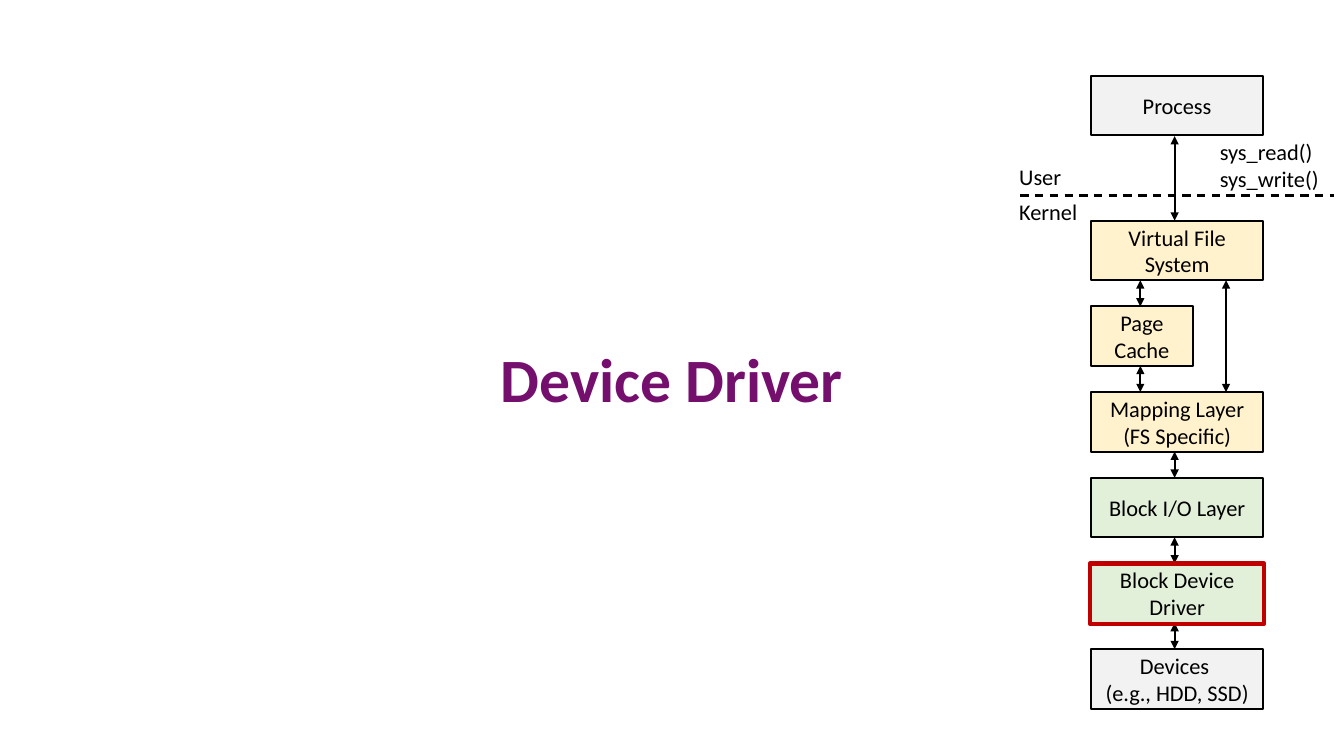
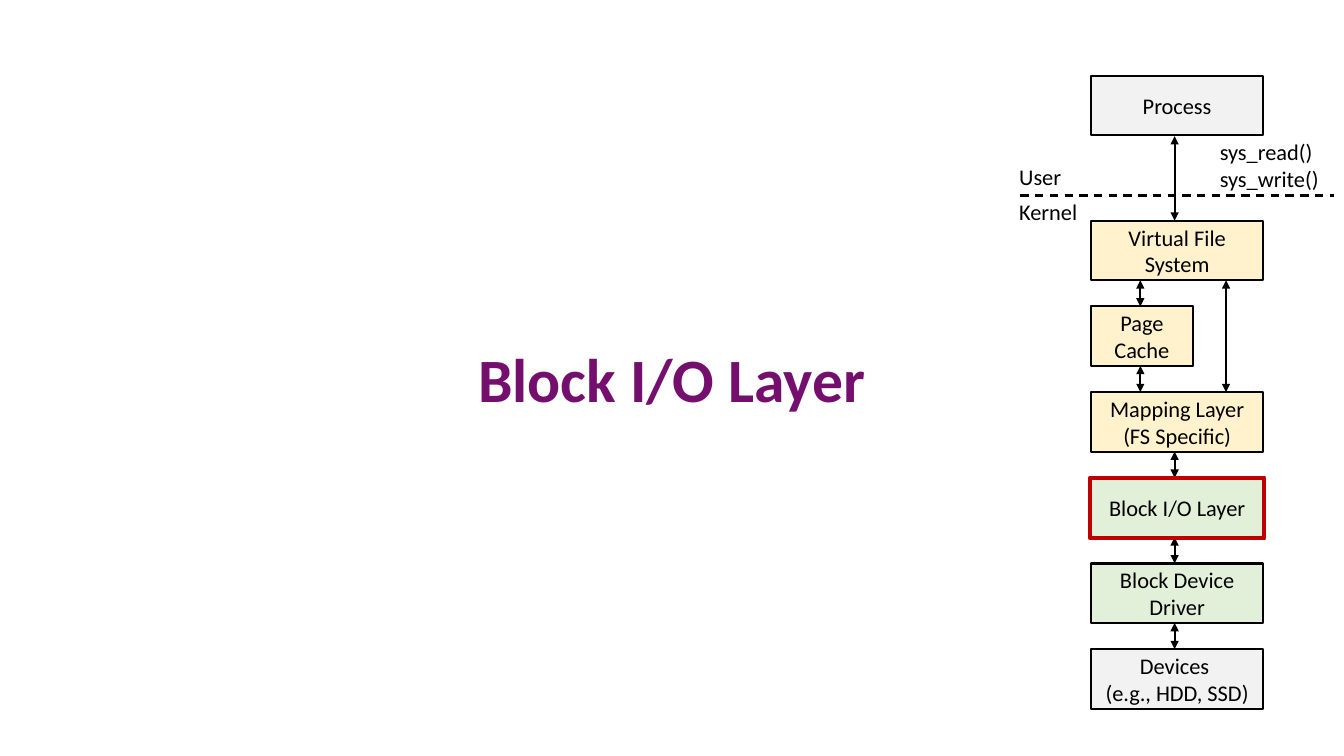
from lxml.etree import SubElement
from pptx import Presentation
from pptx.dml.color import RGBColor
from pptx.enum.dml import MSO_LINE
from pptx.enum.shapes import MSO_CONNECTOR, MSO_SHAPE
from pptx.enum.text import MSO_ANCHOR, MSO_AUTO_SIZE, PP_ALIGN
from pptx.oxml.ns import qn
from pptx.util import Inches, Pt

# Shared look
BLACK, PLUM, RED = "000000", "750F6D", "C00000"
GREY, CREAM, GREEN = "F2F2F2", "FFF2CC", "E2F0D9"
HEAD = {"name": "Calibri", "size": Pt(44), "bold": True}
BODY = {"name": "Calibri", "size": Pt(16), "bold": False}

# Stack geometry: equal rows below the kernel line
LEFT, WIDE, HIGH = 10.82, 1.71, 0.59
TOP, STEP = 2.19, 0.85
MID, SIDE = 11.65, 11.31
rows = [TOP + STEP * i for i in range(6)]

boxes = [
    ("Process", 0.75, WIDE, GREY),
    ("Virtual File System", rows[0], WIDE, CREAM),
    ("Page Cache", rows[1], 1.01, CREAM),
    ("Mapping Layer\v(FS Specific)", rows[2], WIDE, CREAM),
    ("Block I/O Layer", rows[3], WIDE, GREEN),
    ("Block Device Driver", rows[4], WIDE, GREEN),
    ("Devices \n(e.g., HDD, SSD)", rows[5], WIDE, GREY),
]
labels = [
    ("User", 10.01, 1.57, 0.62, 0.37),
    ("Kernel", 10.01, 1.92, 0.79, 0.37),
    ("sys_read()\nsys_write()", 12, 1.32, 1.2, 0.64),
]
# Arrows: x, top, bottom
arrows = [(MID, 1.35, TOP), (12.16, rows[0] + HIGH, rows[2])]
arrows += [(x, y + HIGH, y + STEP)
           for x, y in zip([SIDE, SIDE, MID, MID, MID], rows)]

# Slide title and the row it marks
pages = [("Device Driver", 4), ("Block I/O Layer", 3)]


def rgb(code):
    return RGBColor.from_string(code)


def write(frame, text, style, color, align):
    frame.text = text
    for para in frame.paragraphs:
        para.alignment = align
        for key, value in style.items():
            setattr(para.font, key, value)
        para.font.color.rgb = rgb(color)
        for run in para.runs:
            for key, value in style.items():
                setattr(run.font, key, value)
            run.font.color.rgb = rgb(color)


deck = Presentation()
deck.slide_width, deck.slide_height = Inches(13.33), Inches(7.5)

for name, mark in pages:
    slide = deck.slides.add_slide(deck.slide_layouts[5])
    shapes = slide.shapes

    # Title
    title = shapes.title
    title.left, title.top = Inches(0.69), Inches(2.7)
    title.width, title.height = Inches(11.95), Inches(2.1)
    title.text_frame.vertical_anchor = MSO_ANCHOR.MIDDLE
    write(title.text_frame, name, HEAD, PLUM, PP_ALIGN.CENTER)

    # Layer boxes
    for text, y, width, fill in boxes:
        box = shapes.add_shape(MSO_SHAPE.RECTANGLE, Inches(LEFT), Inches(y),
                               Inches(width), Inches(HIGH))
        box.shadow.inherit = False
        box.fill.solid()
        box.fill.fore_color.rgb = rgb(fill)
        box.line.color.rgb = rgb(BLACK)
        box.line.width = Pt(1.5)
        box.text_frame.word_wrap = True
        box.text_frame.vertical_anchor = MSO_ANCHOR.MIDDLE
        write(box.text_frame, text, BODY, BLACK, PP_ALIGN.CENTER)

    # Labels around the user and kernel border
    for text, *place in labels:
        label = shapes.add_textbox(*[Inches(n) for n in place])
        label.text_frame.word_wrap = False
        label.text_frame.auto_size = MSO_AUTO_SIZE.SHAPE_TO_FIT_TEXT
        write(label.text_frame, text, BODY, BLACK, PP_ALIGN.LEFT)

    # Border line, then the two-way arrows
    lines = [(10.12, 1.94, 13.23, 1.94)]
    lines += [(x, top, x, end) for x, top, end in arrows]
    for ends in lines:
        line = shapes.add_connector(MSO_CONNECTOR.STRAIGHT,
                                    *[Inches(n) for n in ends])
        line.line.color.rgb = rgb(BLACK)
        line.line.width = Pt(1.5)
        props = line._element.spPr
        if ends[1] == ends[3]:
            line.line.dash_style = MSO_LINE.DASH
        else:
            for tag in ("a:headEnd", "a:tailEnd"):
                SubElement(props.find(qn("a:ln")), qn(tag), type="triangle")
        SubElement(props, qn("a:effectLst"))

    # Red frame on the current layer
    frame = shapes.add_shape(MSO_SHAPE.RECTANGLE, Inches(LEFT - 0.01),
                             Inches(rows[mark]), Inches(1.73), Inches(0.6))
    frame.shadow.inherit = False
    frame.fill.background()
    frame.line.color.rgb = rgb(RED)
    frame.line.width = Pt(3)

deck.save("out.pptx")
